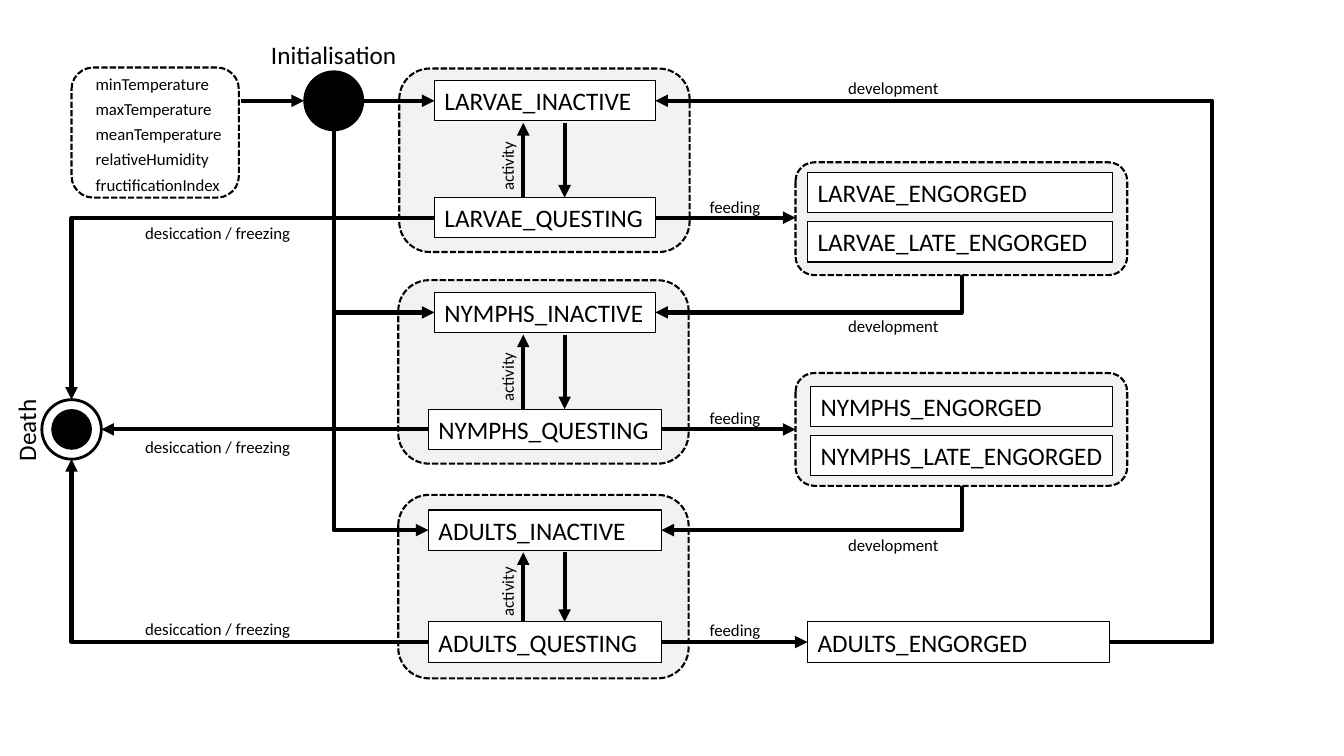
from dataclasses import dataclass

from lxml import etree
from pptx import Presentation
from pptx.dml.color import RGBColor
from pptx.enum import dml, shapes, text
from pptx.oxml.ns import qn
from pptx.util import Inches, Pt


@dataclass(frozen=True)
class Theme:
    font: str = "Calibri"
    ink: str = "000000"
    paper: str = "FFFFFF"
    panel: str = "F2F2F2"
    state_size: int = 18
    label_size: int = 12
    box_line: float = 0.75
    panel_line: float = 1.5
    arrow_line: float = 3


THEME = Theme()
SLIDE_W, SLIDE_H = 13.33, 7.5

# Stage: name, panel left and top, inactive and questing rows,
# left edges of the inactive and questing boxes
STAGES = [
    ("LARVAE", 3.96, 0.68, 1.0, 2.16, 4.31, 4.31),
    ("NYMPHS", 3.95, 2.78, 3.1, 4.26, 4.31, 4.25),
    ("ADULTS", 3.95, 4.91, 5.26, 6.37, 4.25, 4.25),
]
# Engorged group: name, panel top, box left, engorged and late engorged rows
ENGORGED = [
    ("LARVAE", 1.61, 8.01, 1.91, 2.4),
    ("NYMPHS", 3.7, 8.04, 4.03, 4.52),
]
INPUTS = ["minTemperature", "maxTemperature", "meanTemperature",
          "relativeHumidity", "fructificationIndex"]
LABELS = {  # wording: width, centre column, centre rows, rotation
    "feeding": (0.71, 7.29, [2.05, 4.15, 6.25], 0),
    "development": (1.11, 8.86, [0.87, 3.23, 5.41], 0),
    "activity": (0.69, 5.03, [1.65, 3.74, 5.87], 270),
    "desiccation / freezing": (1.66, 2.16, [2.31, 4.43, 6.24], 0),
}

BOX_H = 0.4
STATE_MID = 5.405
STATE_PANEL = (2.88, 1.82)
FED_LEFT, FED_PANEL = 7.89, (3.29, 1.12)
FED_MID, FED_RIGHT = 9.54, 11.03
UP_X, DOWN_X = 5.19, 5.6
START_X, START_Y = 3.31, 1.0
DEATH_X, DEATH_Y = 0.71, 4.26
RADIUS, CORE_RADIUS = 0.295, 0.195
LOOP_X = 12.02

prs = Presentation()
prs.slide_width, prs.slide_height = Inches(SLIDE_W), Inches(SLIDE_H)
s = prs.slides.add_slide(prs.slide_layouts[6])


def rgb(name):
    return RGBColor.from_string(name)


def style_text(tf, size, align):
    for p in tf.paragraphs:
        p.alignment = align
        for r in p.runs:
            r.font.name, r.font.size = THEME.font, Pt(size)
            r.font.color.rgb = rgb(THEME.ink)


def shape(kind, x, y, w, h, fill, line):
    sp = s.shapes.add_shape(kind, *map(Inches, (x, y, w, h)))
    sp.shadow.inherit = False
    if fill:
        sp.fill.solid()
        sp.fill.fore_color.rgb = rgb(fill)
    else:
        sp.fill.background()
    sp.line.color.rgb, sp.line.width = rgb(THEME.ink), Pt(line)
    return sp


def panel(x, y, w, h, fill=THEME.panel):
    sp = shape(shapes.MSO_SHAPE.ROUNDED_RECTANGLE, x, y, w, h, fill, THEME.panel_line)
    sp.line.dash_style = dml.MSO_LINE.SQUARE_DOT


def state(name, x, mid_y, right):
    sp = shape(shapes.MSO_SHAPE.RECTANGLE, x, mid_y - BOX_H / 2, right - x, BOX_H,
               THEME.paper, THEME.box_line)
    tf = sp.text_frame
    tf.text, tf.word_wrap, tf.margin_right = name, True, 0
    tf.vertical_anchor = text.MSO_ANCHOR.MIDDLE
    style_text(tf, THEME.state_size, text.PP_ALIGN.LEFT)


def disc(x, y, radius, fill, line):
    shape(shapes.MSO_SHAPE.OVAL, x - radius, y - radius, 2 * radius, 2 * radius, fill, line)


def label(words, mid_x, mid_y, w, h=0.3, size=THEME.label_size, rotation=0):
    tb = s.shapes.add_textbox(*map(Inches, (mid_x - w / 2, mid_y - h / 2, w, h)))
    tb.rotation = rotation
    tf = tb.text_frame
    tf.text, tf.word_wrap = words, False
    style_text(tf, size, text.PP_ALIGN.CENTER)


def arrow(x1, y1, x2, y2, end="tailEnd", preset="line", bend=None):
    """Draw a connector; bent ones leave horizontally, with bend as the share of the width."""
    kind = shapes.MSO_CONNECTOR.STRAIGHT if preset == "line" else shapes.MSO_CONNECTOR.ELBOW
    c = s.shapes.add_connector(kind, *map(Inches, (x1, y1, x2, y2)))
    c.line.color.rgb, c.line.width = rgb(THEME.ink), Pt(THEME.arrow_line)
    props = c._element.spPr
    geom = props.find(qn("a:prstGeom"))
    geom.set("prst", preset)
    if bend is not None:
        guide = etree.SubElement(geom.find(qn("a:avLst")), qn("a:gd"))
        guide.set("name", "adj1")
        guide.set("fmla", f"val {round(bend * 100000)}")
    etree.SubElement(props.find(qn("a:ln")), qn(f"a:{end}")).set("type", "triangle")
    etree.SubElement(props, qn("a:effectLst"))


def elbow(x1, y1, x2, y2, end="tailEnd"):
    arrow(x1, y1, x2, y2, end, "bentConnector2")


def draw_states():
    for name, left, top, inactive, questing, inactive_x, questing_x in STAGES:
        panel(left, top, *STATE_PANEL)
        for suffix, x, y in (("INACTIVE", inactive_x, inactive),
                             ("QUESTING", questing_x, questing)):
            state(f"{name}_{suffix}", x, y, 2 * STATE_MID - x)
        for x, end in ((UP_X, "tailEnd"), (DOWN_X, "headEnd")):
            arrow(x, questing - BOX_H / 2, x, inactive + BOX_H / 2 + 0.02, end)
    for name, top, left, engorged, late in ENGORGED:
        panel(FED_LEFT, top, *FED_PANEL)
        state(f"{name}_ENGORGED", left, engorged, FED_RIGHT)
        state(f"{name}_LATE_ENGORGED", left, late, FED_RIGHT)
    state("ADULTS_ENGORGED", 8.01, STAGES[-1][4], 11)


def draw_flows():
    for (*_, questing, _, x), target in zip(STAGES, (FED_LEFT, FED_LEFT, 8.01)):
        arrow(2 * STATE_MID - x, questing, target, questing)
        if questing == DEATH_Y:
            arrow(x, questing, DEATH_X + RADIUS, DEATH_Y)
        else:
            side = -1 if questing < DEATH_Y else 1
            elbow(x, questing, DEATH_X, DEATH_Y + side * RADIUS)
    for (*_, inactive, _, x, _), (_, top, *_) in zip(STAGES[1:], ENGORGED):
        elbow(2 * STATE_MID - x, inactive, FED_MID, top + FED_PANEL[1], "headEnd")
        elbow(x, inactive, START_X, START_Y + RADIUS, "headEnd")
    arrow(START_X + RADIUS, START_Y, STAGES[0][5], START_Y)
    arrow(2.39, START_Y, START_X - RADIUS, START_Y)
    loop_start = 2 * STATE_MID - STAGES[0][5]
    arrow(loop_start, START_Y, 11, STAGES[-1][4], "headEnd", "bentConnector3",
          (LOOP_X - loop_start) / (11 - loop_start))


def draw_inputs():
    panel(0.71, 0.67, 1.66, 1.29, None)
    tf = s.shapes.add_textbox(*map(Inches, (0.85, 0.63, 1.46, 1.36))).text_frame
    tf.text, tf.word_wrap = "\n".join(INPUTS), False
    style_text(tf, THEME.label_size, text.PP_ALIGN.LEFT)
    for p in tf.paragraphs:
        p.line_spacing = Pt(18)


draw_states()
draw_flows()
disc(START_X, START_Y, RADIUS, THEME.ink, 1)
disc(DEATH_X, DEATH_Y, RADIUS, None, 2)
disc(DEATH_X, DEATH_Y, CORE_RADIUS, THEME.ink, 1)
draw_inputs()
for words, (w, x, rows, rotation) in LABELS.items():
    for y in rows:
        label(words, x, y, w, rotation=rotation)
label("Initialisation", START_X, 0.54, 1.46, BOX_H, THEME.state_size)
label("Death", 0.26, DEATH_Y + 0.01, 0.82, BOX_H, THEME.state_size, 270)
prs.save("out.pptx")
